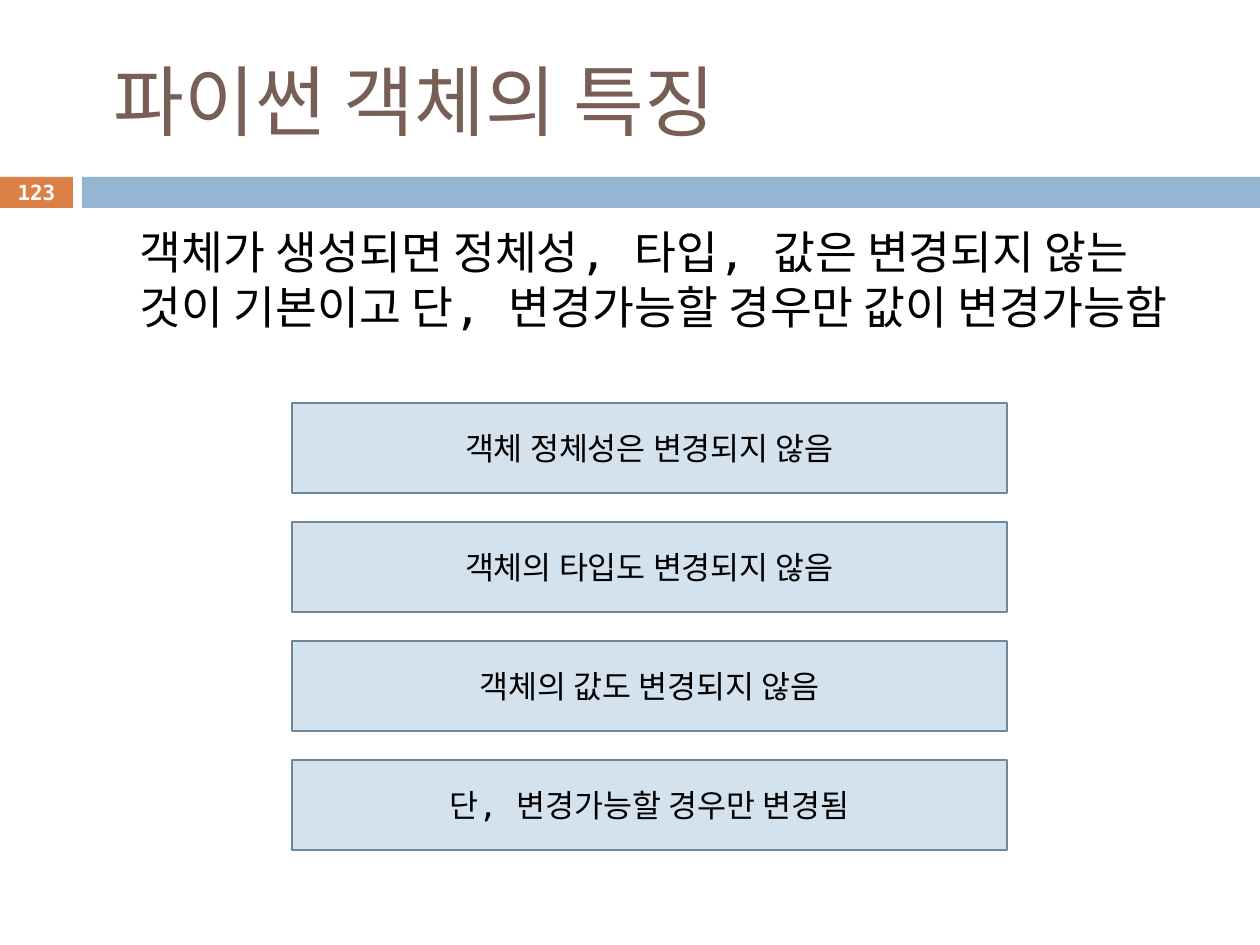
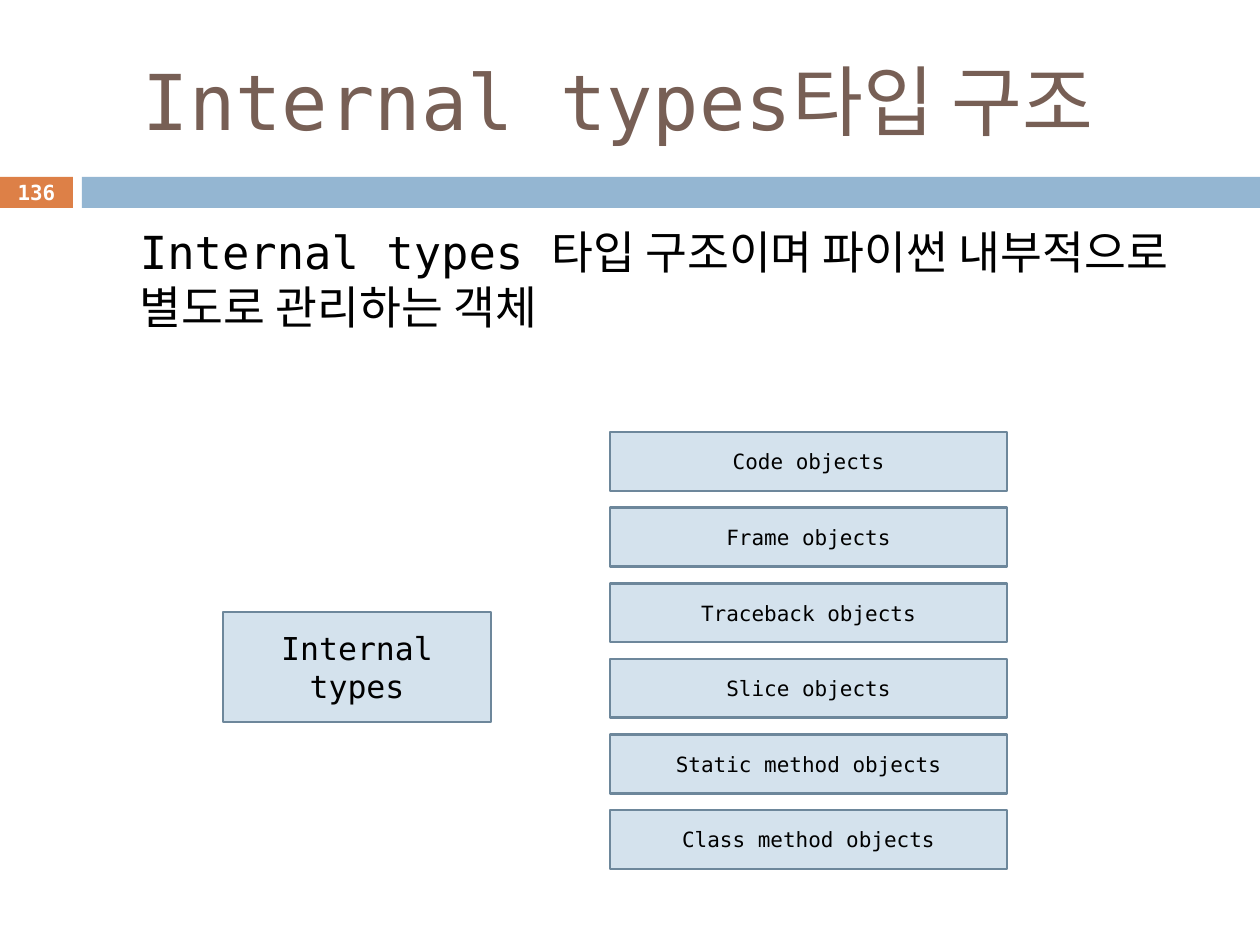
from pptx import Presentation
from pptx.dml.color import RGBColor
from pptx.enum.shapes import MSO_SHAPE as Shape
from pptx.enum.text import MSO_ANCHOR as Anchor, MSO_AUTO_SIZE as Fit, PP_ALIGN as Align
from pptx.util import Emu, Pt

FONT = "DejaVu Sans Mono"
BROWN, ORANGE, BLUE = "775F55", "DD8047", "94B6D2"
PALE, EDGE, BLACK, WHITE = "D4E2ED", "6D879B", "000000", "FFFFFF"

# A stack of boxes: left, first top, last top, width, height, text size, labels
SLIDES = [
    {
        "title": " 파이썬 객체의 특징",
        "page": "123",
        "body": "객체가 생성되면 정체성, 타입, 값은 변경되지 않는 것이 기본이고 단, "
                "변경가능할 경우만 값이 변경가능함",
        "stacks": [
            (292, 403, 760, 715, 90, 18, [
                "객체 정체성은 변경되지 않음",
                "객체의 타입도 변경되지 않음",
                "객체의 값도 변경되지 않음",
                "단, 변경가능할 경우만 변경됨",
            ]),
        ],
    },
    {
        "title": " Internal types타입 구조",
        "page": "136",
        "body": "Internal types 타입 구조이며 파이썬 내부적으로 별도로 관리하는 객체",
        "stacks": [
            (223, 612, 612, 268, 110, 18, ["Internal types"]),
            (610, 432, 810, 397, 59, 12, [
                "Code objects",
                "Frame objects",
                "Traceback objects",
                "Slice objects",
                "Static method objects",
                "Class method objects",
            ]),
        ],
    },
]


def px(n):
    return Emu(round(n * 914400 / 126))


def tint(code):
    return RGBColor.from_string(code)


def write(shape, text, size, color, align=Align.LEFT, anchor=Anchor.MIDDLE, bold=False):
    frame = shape.text_frame
    frame.word_wrap = True
    frame.auto_size = Fit.NONE
    frame.vertical_anchor = anchor
    para = frame.paragraphs[0]
    para.alignment = align
    run = para.add_run()
    run.text = text
    font = run.font
    font.name, font.size, font.bold = FONT, Pt(size), bold
    font.color.rgb = tint(color)


def rect(slide, area, fill, edge=None):
    shape = slide.shapes.add_shape(Shape.RECTANGLE, *map(px, area))
    shape.shadow.inherit = False
    shape.fill.solid()
    shape.fill.fore_color.rgb = tint(fill)
    if edge:
        shape.line.color.rgb = tint(edge)
        shape.line.width = Pt(1.5)
    else:
        shape.line.fill.background()
    return shape


def frame_up(slide, title, page, body):
    """Add the parts every slide shares: bands, title, lead text, page number."""
    rect(slide, (0, 177, 73, 31), ORANGE)
    rect(slide, (82, 177, 1178, 31), BLUE)

    head = slide.shapes.title
    head.left, head.top, head.width, head.height = map(px, (84, 32, 1124, 136))
    write(head, title, 44, BROWN)

    lead = slide.shapes.add_textbox(*map(px, (64, 218, 1134, 190)))
    lead.text_frame.margin_left = px(76)
    write(lead, body, 26, BLACK, anchor=Anchor.TOP)

    num = slide.shapes.add_textbox(*map(px, (0, 175, 73, 34)))
    write(num, page, 11.9, WHITE, Align.CENTER, bold=True)


def stack(slide, left, top, last, width, height, size, labels):
    step = (last - top) / max(len(labels) - 1, 1)
    for i, label in enumerate(labels):
        box = rect(slide, (left, top + i * step, width, height), PALE, EDGE)
        write(box, label, size, BLACK, Align.CENTER)


def main():
    deck = Presentation()
    deck.slide_width, deck.slide_height = px(1260), px(945)
    for item in SLIDES:
        slide = deck.slides.add_slide(deck.slide_layouts[5])
        frame_up(slide, item["title"], item["page"], item["body"])
        for part in item["stacks"]:
            stack(slide, *part)
    deck.save("out.pptx")


if __name__ == "__main__":
    main()
